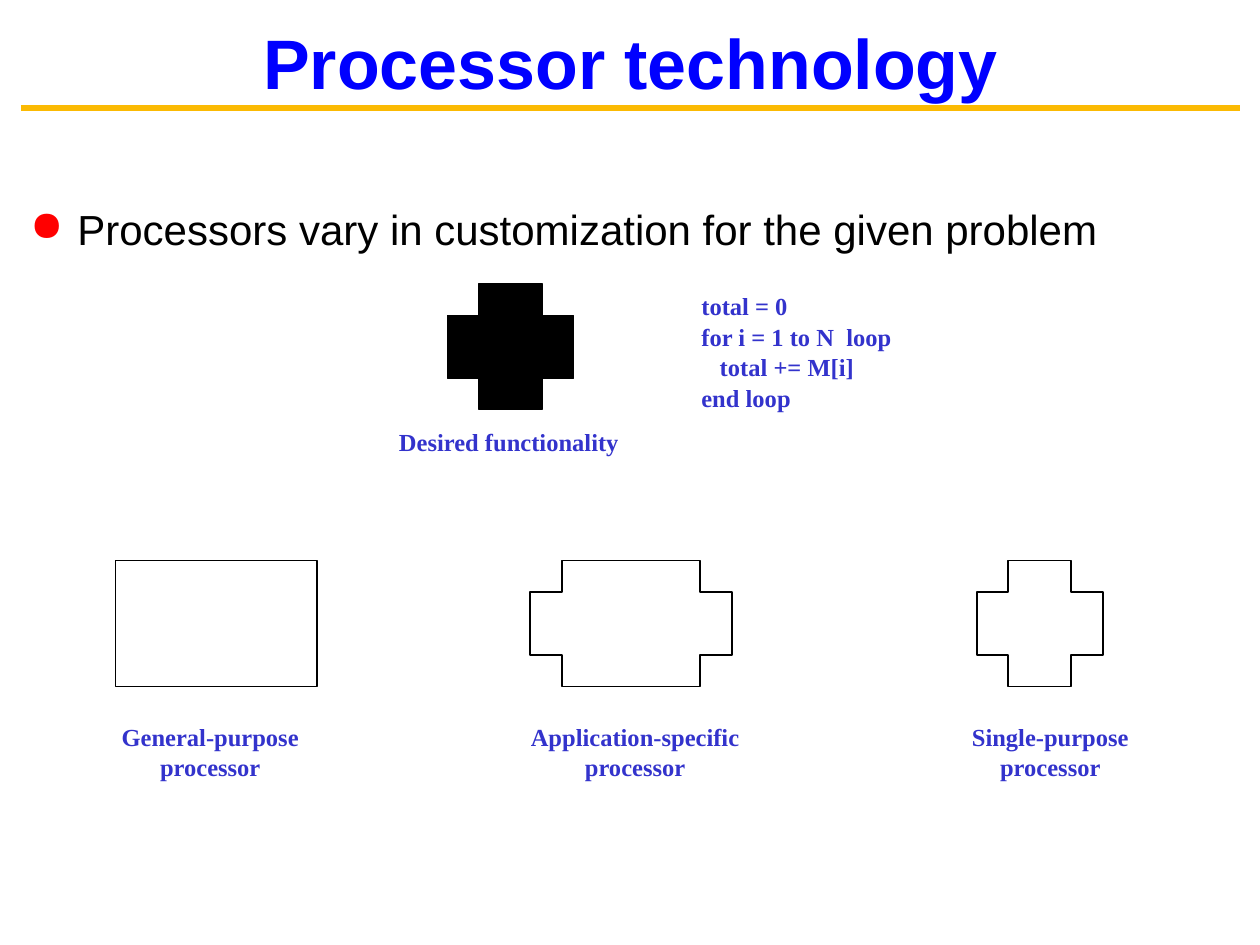
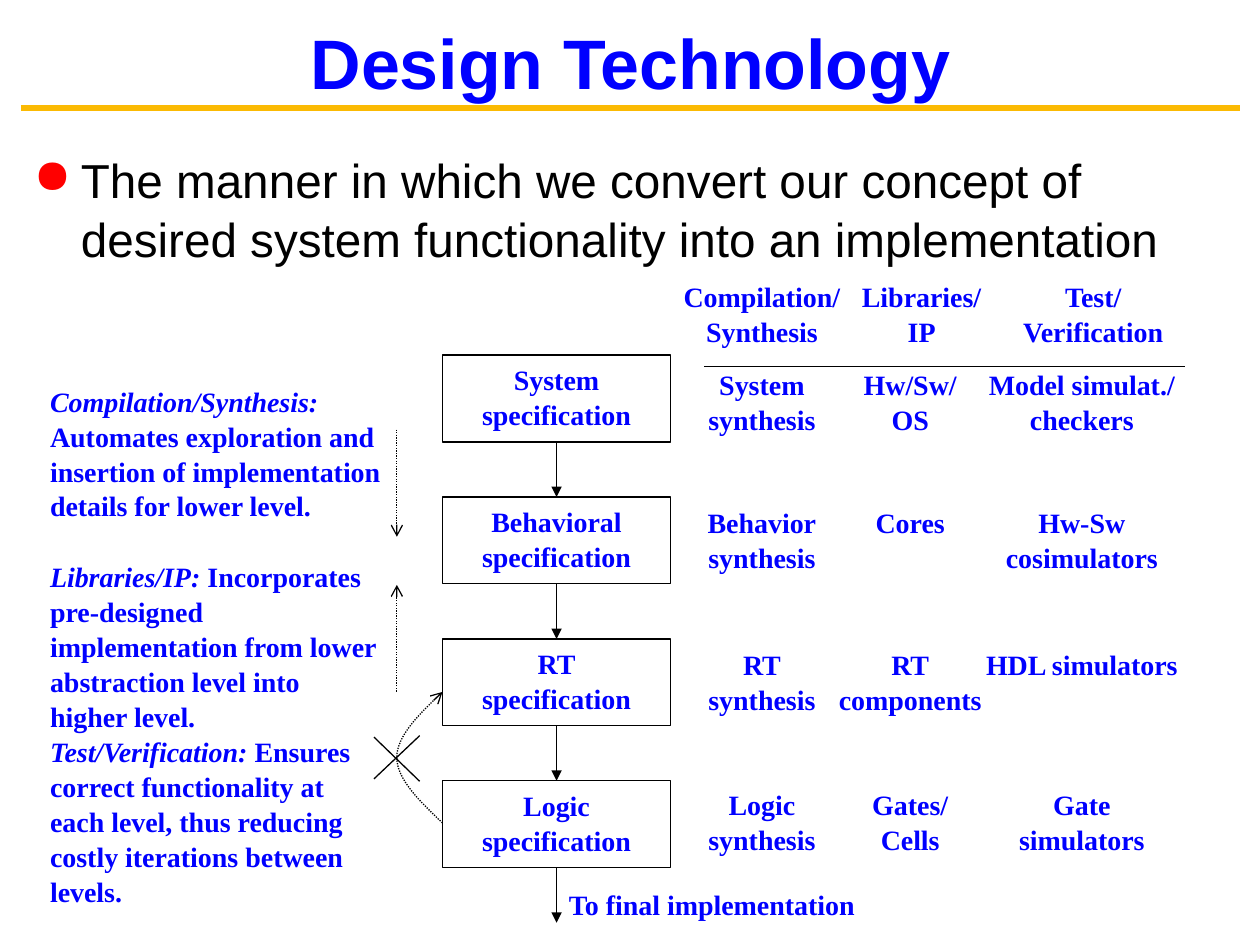
from lxml import etree
from pptx import Presentation
from pptx import util as u
from pptx.dml import color
from pptx.enum import dml, shapes, text
from pptx.oxml import ns

# Shared look
rgb = color.RGBColor.from_string
BLUE, INDIGO, GOLD, RED = "0000FF", "3333CC", "FBBA03", "FF0000"
BLACK, WHITE = "000000", "FFFFFF"
SANS, SERIF = "Arial", "Times New Roman"
Cm, Pt = u.Cm, u.Pt
RECT, PLUS = shapes.MSO_SHAPE.RECTANGLE, shapes.MSO_SHAPE.CROSS
LINE = shapes.MSO_CONNECTOR.STRAIGHT


def write(frame, lines, size, hue, mid=True, pad=(0.25, 0.13), face=SERIF,
          bold=True, lead=""):
    """Fill a text frame, one paragraph a line, after an italic lead."""
    frame.word_wrap = True
    frame.auto_size = text.MSO_AUTO_SIZE.NONE
    frame.vertical_anchor = text.MSO_ANCHOR.TOP
    frame.margin_left = frame.margin_right = Cm(pad[0])
    frame.margin_top = frame.margin_bottom = Cm(pad[1])
    for i, line in enumerate(lines):
        para = frame.add_paragraph() if i else frame.paragraphs[0]
        para.alignment = text.PP_ALIGN.CENTER if mid else text.PP_ALIGN.LEFT
        para.line_spacing = 1.04
        for words, slant in ((lead if i == 0 else "", True), (line, False)):
            if words:
                run = para.add_run()
                run.text = words
                font = run.font
                font.name, font.size, font.bold = face, Pt(size), bold
                font.italic = slant
                font.color.rgb = rgb(hue)


def ink(item, hue=BLACK, width=0.75, head="", dots=False):
    """Set the outline, with no shadow, and an arrowhead at its end."""
    item.line.color.rgb = rgb(hue)
    item.line.width = Pt(width)
    if dots:
        item.line.dash_style = dml.MSO_LINE.ROUND_DOT
    props = item._element.spPr
    if head:
        ln = props.find(ns.qn("a:ln"))
        etree.SubElement(ln, ns.qn("a:tailEnd"), type=head)
    etree.SubElement(props, ns.qn("a:effectLst"))


deck = Presentation()
deck.slide_width, deck.slide_height = Cm(25.4), Cm(19.05)

# Title, gold rule and bullet of each slide
pages = []
for name, point, size, left, top, wide, high in (
    ("Processor technology",
     "Processors vary in customization for the given problem",
     24, 0.36, 3.93, 24.36, 2.1),
    ("Design Technology",
     "The manner in which we convert our concept of desired system "
     "functionality into an implementation",
     27.2, 0.43, 2.86, 24.97, 3.8),
):
    page = deck.slides.add_slide(deck.slide_layouts[5])
    pages.append(page.shapes)
    title = page.shapes.title
    title.left, title.top = Cm(0.48), Cm(0.36)
    title.width, title.height = Cm(24.46), Cm(1.7)
    write(title.text_frame, [name], 40, BLUE, face=SANS)
    title.text_frame.vertical_anchor = text.MSO_ANCHOR.MIDDLE
    rule = page.shapes.add_connector(LINE, Cm(0.42), Cm(2.18), Cm(25), Cm(2.18))
    ink(rule, GOLD, 3.75)

    body = page.shapes.add_textbox(Cm(left), Cm(top), Cm(wide), Cm(high))
    write(body.text_frame, [point], size, BLACK, mid=False, face=SANS, bold=False)
    props = body.text_frame.paragraphs[0]._p.get_or_add_pPr()
    props.set("marL", str(Cm(0.95)))
    props.set("indent", str(-Cm(0.95)))
    tint = etree.SubElement(props, ns.qn("a:buClr"))
    etree.SubElement(tint, ns.qn("a:srgbClr"), val=RED)
    etree.SubElement(props, ns.qn("a:buChar"), char="●")

first, second = pages

# Slide 1: functionality and processor outlines
for kind, left, top, wide, fill, width in (
    (PLUS, 9.02, 5.72, 2.54, BLACK, 0.75),
    (RECT, 2.33, 11.3, 4.06, WHITE, 1),
    (PLUS, 10.69, 11.3, 4.06, WHITE, 1),
    (PLUS, 19.69, 11.3, 2.54, WHITE, 1),
):
    form = first.add_shape(kind, Cm(left), Cm(top), Cm(wide), Cm(2.54))
    if kind == PLUS:
        form.adjustments[0] = 0.25
    form.fill.solid()
    form.fill.fore_color.rgb = rgb(fill)
    ink(form, width=width)

# Slide 1: captions and code
for label, left, top, wide in (
    ("Desired functionality", 7.62, 8.46, 5.28),
    ("General-purpose processor", 1.7, 14.4, 5.08),
    ("Application-specific processor", 9.73, 14.4, 6.15),
    ("Single-purpose processor", 18.85, 14.4, 4.65),
):
    box = first.add_textbox(Cm(left), Cm(top), Cm(wide), Cm(1.85))
    write(box.text_frame, [label], 14, INDIGO)

code = first.add_textbox(Cm(13.89), Cm(5.72), Cm(6.22), Cm(4.32))
write(code.text_frame,
      ["total = 0", "for i = 1 to N  loop", "   total += M[i]", "end loop"],
      14, INDIGO, mid=False)

# Slide 2: chain of specifications
for i, stage in enumerate(("System", "Behavioral", "RT", "Logic")):
    top = 7.16 + 2.86 * i
    box = second.add_shape(RECT, Cm(8.92), Cm(top), Cm(4.6), Cm(1.75))
    box.fill.solid()
    box.fill.fore_color.rgb = rgb(WHITE)
    ink(box)
    write(box.text_frame, [stage, "specification"], 16, BLUE)
    down = second.add_connector(
        LINE, Cm(11.22), Cm(top + 1.75), Cm(11.22), Cm(top + 2.86))
    ink(down, head="triangle")

end = second.add_textbox(Cm(11.22), Cm(17.73), Cm(6.91), Cm(1.3))
write(end.text_frame, ["To final implementation"], 16, BLUE, mid=False)

# Slide 2: explanations on the left
for lead, rest, top, high in (
    ("Compilation/Synthesis:", " Automates exploration and insertion of "
     "implementation details for lower level.", 7.72, 3.53),
    ("Libraries/IP:", " Incorporates pre-designed implementation from lower "
     "abstraction level into higher level.", 11.25, 3.48),
    ("Test/Verification:", " Ensures correct functionality at each level, "
     "thus reducing costly iterations between levels.", 14.78, 4.09),
):
    note = second.add_textbox(Cm(0.76), Cm(top), Cm(7.21), Cm(high))
    write(note.text_frame, [rest], 16, BLUE, mid=False, pad=(0.25, 0), lead=lead)

# Slide 2: dotted arrows, crossing strokes and heading rule
for x1, y1, x2, y2, head, dots in (
    (8, 8.66, 8, 10.82, "arrow", True),
    (8, 13.94, 8, 11.79, "arrow", True),
    (7.54, 14.86, 8.46, 15.75, "", False),
    (8.46, 14.83, 7.54, 15.7, "", False),
    (14.2, 7.39, 23.88, 7.39, "", False),
):
    stroke = second.add_connector(LINE, Cm(x1), Cm(y1), Cm(x2), Cm(y2))
    ink(stroke, head=head, dots=dots)

# Slide 2: curved arrow from logic back to RT
bend = []
for i in range(-16, 17):
    far = abs(i) / 16
    x = 8 + 0.92 * far ** 2 * (1.5 - far / 2)
    bend.append((Cm(x), Cm(15.27 - 1.32 * i / 16)))
path = second.build_freeform(*bend[0])
path.add_line_segments(bend[1:], close=False)
curve = path.convert_to_shape()
curve.fill.background()
ink(curve, head="arrow", dots=True)

# Slide 2: tools for each level
tops = (5.61, 7.39, 10.16, 13.03, 15.85)
grid = (
    (13.06, 13.06, 4.6, (("Compilation/", "Synthesis"), ("System", "synthesis"),
     ("Behavior", "synthesis"), ("RT", "synthesis"), ("Logic", "synthesis"))),
    (16.28, 16.05, 4.6, (("Libraries/", "IP"), ("Hw/Sw/", "OS"), ("Cores",),
     ("RT", "components"), ("Gates/", "Cells"))),
    (19.74, 19.74, 4.14, (("Test/", "Verification"),
     ("Model simulat./", "checkers"), ("Hw-Sw", "cosimulators"),
     ("HDL simulators",), ("Gate", "simulators"))),
)
for start, left, wide, cells in grid:
    for i, (top, lines) in enumerate(zip(tops, cells)):
        x, w = (left, wide) if i else (start, 4.6)
        cell = second.add_textbox(Cm(x), Cm(top), Cm(w), Cm(1.75))
        write(cell.text_frame, lines, 16, BLUE, pad=(0, 0))

deck.save("out.pptx")
